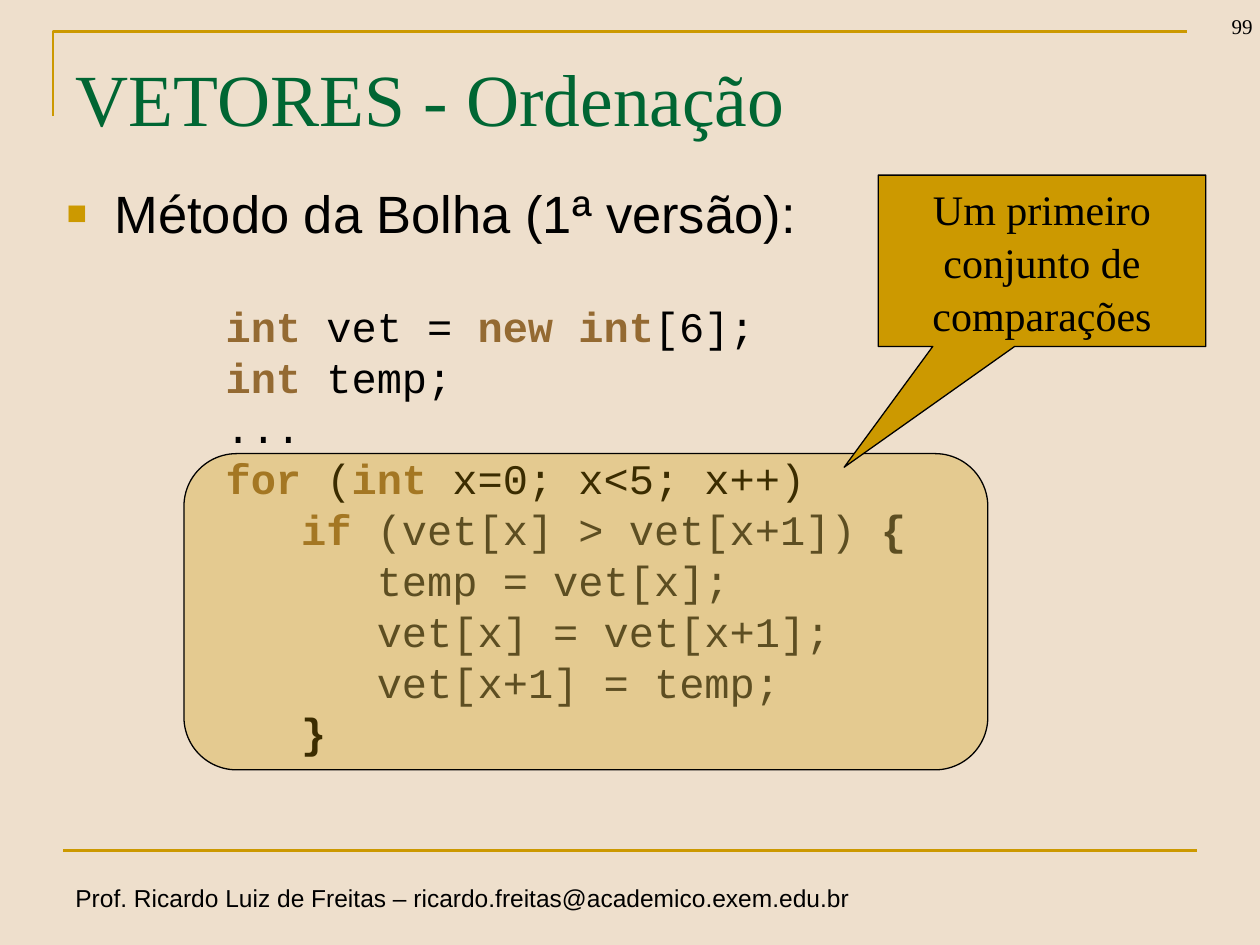
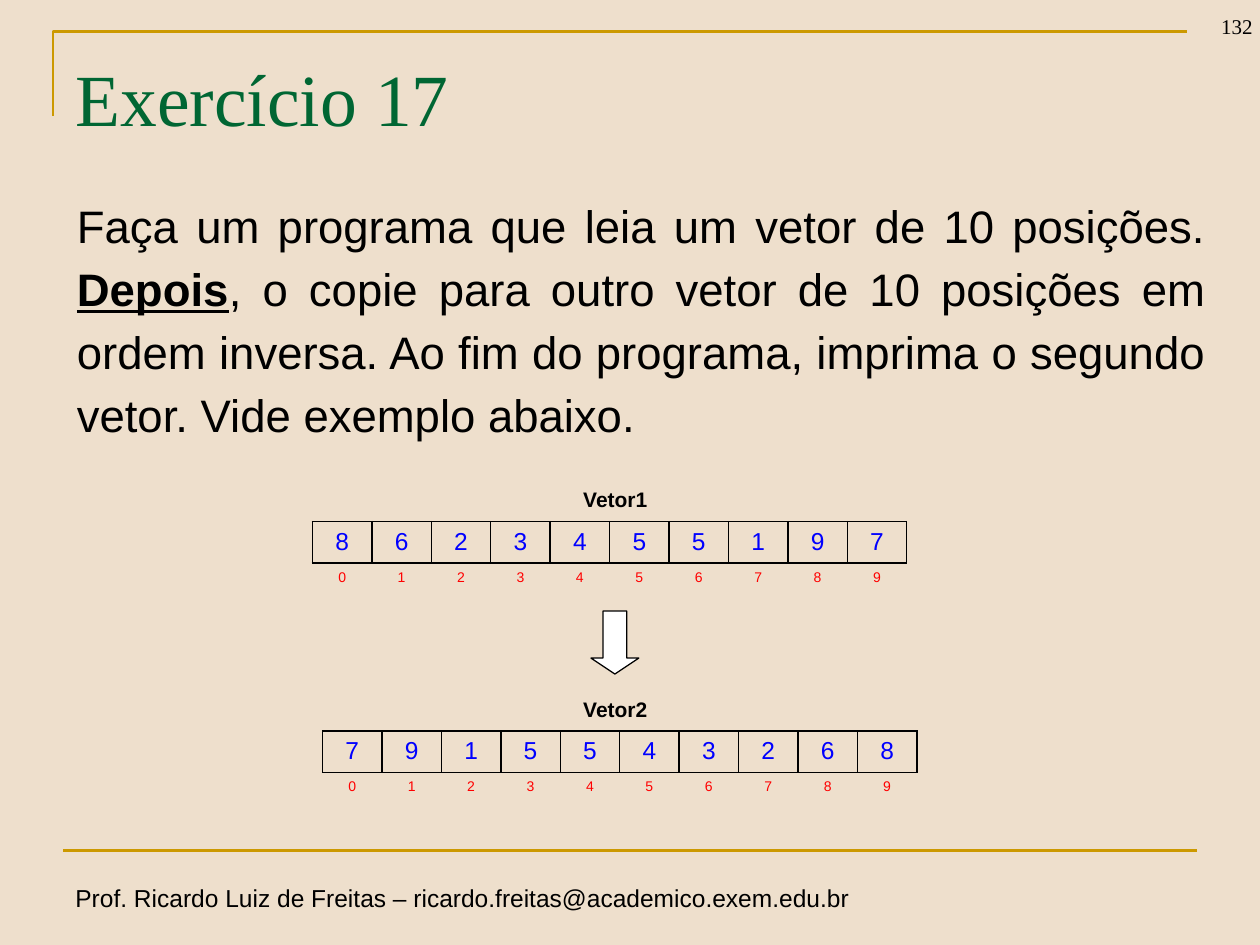
from lxml import etree
from pptx import Presentation
from pptx.dml.color import RGBColor
from pptx.enum.shapes import MSO_CONNECTOR, MSO_SHAPE
from pptx.enum.text import MSO_ANCHOR, MSO_AUTO_SIZE, PP_ALIGN
from pptx.oxml import parse_xml
from pptx.oxml.ns import nsdecls, qn
from pptx.util import Inches, Pt

LINE = MSO_CONNECTOR.STRAIGHT
ROUND = MSO_SHAPE.FLOWCHART_ALTERNATE_PROCESS
CALL = MSO_SHAPE.RECTANGULAR_CALLOUT
DOWN = MSO_SHAPE.DOWN_ARROW
LEFT, MID, RIGHT, JUST = PP_ALIGN.LEFT, PP_ALIGN.CENTER, PP_ALIGN.RIGHT, PP_ALIGN.JUSTIFY
TOP, LOW = MSO_ANCHOR.TOP, MSO_ANCHOR.BOTTOM
FIXED = MSO_AUTO_SIZE.NONE

SANS, SERIF, MONO = "Arial", "Times New Roman", "Courier New"
COLORS = {
    "back": "EEDFCC", "gold": "CC9900", "green": "006633", "black": "000000",
    "brown": "946A32", "gray": "303030", "blue": "0000FF", "red": "FF0000",
    "white": "FFFFFF",
}
RGB = {name: RGBColor.from_string(code) for name, code in COLORS.items()}


def style(para, face, size, color="black", align=LEFT, bold=False):
    para.alignment = align
    font = para.font
    font.name, font.size, font.bold = face, Pt(size), bold
    font.color.rgb = RGB[color]


def place(shape, left, top, width, height, anchor=TOP, wrap=True):
    shape.left, shape.top = Inches(left), Inches(top)
    shape.width, shape.height = Inches(width), Inches(height)
    frame = shape.text_frame
    frame.auto_size, frame.word_wrap = FIXED, wrap
    frame.vertical_anchor = anchor
    return frame.paragraphs[0]


prs = Presentation()
prs.slide_width, prs.slide_height = Inches(10), Inches(7.5)
fill = prs.slide_master.background.fill
fill.solid()
fill.fore_color.rgb = RGB["back"]

# Shared frame, footer, number and title
slides = []
for title, number, width in [("VETORES - Ordenação", "99", 9.28),
                             ("Exercício 17", "132", 9)]:
    slide = prs.slides.add_slide(prs.slide_layouts[1])
    slides.append(slide)
    shapes = slide.shapes

    draft = shapes.build_freeform(Inches(0.42), Inches(0.92))
    draft.add_line_segments([(Inches(0.42), Inches(0.25)),
                             (Inches(9.42), Inches(0.25))], close=False)
    corner = draft.convert_to_shape()
    corner.shadow.inherit = False
    corner.fill.background()
    rule = shapes.add_connector(LINE, Inches(0.5), Inches(6.75), Inches(9.5), Inches(6.75))
    etree.SubElement(rule._element.spPr, qn("a:effectLst"))
    for edge in (corner, rule):
        edge.line.color.rgb = RGB["gold"]
        edge.line.width = Pt(1.5)

    para = place(shapes.add_textbox(0, 0, 0, 0), 0.5, 6.96, 6.38, 0.34, wrap=False)
    para.text = "Prof. Ricardo Luiz de Freitas – ricardo.freitas@academico.exem.edu.br"
    style(para, SANS, 14)
    para = place(shapes.add_textbox(0, 0, 0, 0), 9.29, -0.14, 0.75, 0.5, LOW)
    para.text = number
    style(para, SERIF, 12, align=RIGHT)

    para = place(shapes.title, 0.5, 0.3, width, 1.25)
    shapes.title.text_frame.margin_top = Inches(0.12)
    para.text = title
    style(para, SERIF, 42, "green")

sort, task = slides

# Code: each line has an indent in characters and its runs (text, colour, bold)
key, text = ("brown", True), ("black", False)
dim = ("gray", False)
code = [
    (0, [("int ", *key), ("vet = ", *text), ("new int", *key), ("[6];", *text)]),
    (0, [("int ", *key), ("temp;", *text)]),
    (0, [("...", *text)]),
    (0, [("for", *key), (" (", *text), ("int", *key), (" x=0; x<5; x++)", *text)]),
    (3, [("if", *key), (" (vet[x] > vet[x+1]) ", *dim), ("{", "gray", True)]),
    (6, [("temp = vet[x];", *dim)]),
    (6, [("vet[x] = vet[x+1];", *dim)]),
    (6, [("vet[x+1] = temp;", *dim)]),
    (3, [("}", "black", True)]),
]
body = sort.placeholders[1]
para = place(body, 1.69, 2.41, 7.48, 4.1)
for row, (indent, parts) in enumerate(code):
    if row:
        para = body.text_frame.add_paragraph()
    style(para, MONO, 24)
    para.line_spacing, para.space_before = 0.8, Pt(6)
    props = para._p.get_or_add_pPr()
    props.set("marL", str(Inches(0.2 * indent)))
    props.set("indent", "0")
    etree.SubElement(props, qn("a:buNone"))
    props.append(props.find(qn("a:defRPr")))
    for words, color, bold in parts:
        run = para.add_run()
        run.text = words
        run.font.bold = bold
        run.font.color.rgb = RGB[color]

# Bulleted heading
para = place(sort.shapes.add_textbox(0, 0, 0, 0), 0.43, 1.39, 9.35, 5.28)
para.text = "Método da Bolha (1ª versão):"
style(para, SANS, 30)
para.space_before = Pt(3)
props = para._p.get_or_add_pPr()
props.set("marL", str(Inches(0.38)))
props.set("indent", str(-Inches(0.38)))
for xml in (f'<a:buClr {nsdecls("a")}><a:srgbClr val="{COLORS["gold"]}"/></a:buClr>',
            f'<a:buSzPct {nsdecls("a")} val="65000"/>',
            f'<a:buFont {nsdecls("a")} typeface="{SANS}"/>',
            f'<a:buChar {nsdecls("a")} char="■"/>'):
    props.append(parse_xml(xml))
props.append(props.find(qn("a:defRPr")))

# Highlight, callout and arrow
marks = []
for slide, kind, color, spot in [(sort, ROUND, "gold", (1.46, 3.6, 6.38, 2.51)),
                                 (sort, CALL, "gold", (6.97, 1.39, 2.6, 1.36)),
                                 (task, DOWN, "white", (4.69, 4.85, 0.38, 0.5))]:
    mark = slide.shapes.add_shape(kind, *map(Inches, spot))
    mark.shadow.inherit = False
    mark.fill.solid()
    mark.fill.fore_color.rgb = RGB[color]
    mark.line.color.rgb = RGB["black"]
    mark.line.width = Pt(0.75)
    marks.append(mark)
glow, call, arrow = marks
tint = glow._element.spPr.find(qn("a:solidFill"))[0]
etree.SubElement(tint, qn("a:alpha")).set("val", "29000")
call.adjustments[0], call.adjustments[1] = -0.604, 1.205
arrow.adjustments[0], arrow.adjustments[1] = 0.5, 0.333
para = place(call, 6.97, 1.39, 2.6, 1.36)
para.text = "Um primeiro conjunto de comparações"
style(para, SERIF, 24, align=MID)
para.line_spacing = 1.05

# Exercise text
para = place(task.placeholders[1], 0.51, 1.46, 9.17, 2.32)
style(para, SANS, 26, align=JUST)
para.line_spacing, para.space_before = 1.15, Pt(0)
props = para._p.get_or_add_pPr()
props.set("marL", "0")
props.set("indent", "0")
etree.SubElement(props, qn("a:buNone"))
props.append(props.find(qn("a:defRPr")))
for words, strong in [
        ("Faça um programa que leia um vetor de 10 posições. ", False),
        ("Depois", True),
        (", o copie para outro vetor de 10 posições em ordem inversa. Ao fim do "
         "programa, imprima o segundo vetor. Vide exemplo abaixo.", False)]:
    run = para.add_run()
    run.text = words
    run.font.bold = run.font.underline = strong

# Vectors: values over their indexes, the second in reverse order
values = [8, 6, 2, 3, 4, 5, 5, 1, 9, 7]
for name, cells, head, left, top, high in [
        ("Vetor1", values, 3.81, 2.48, 4.14, (0.33, 0.3)),
        ("Vetor2", values[::-1], 5.48, 2.56, 5.8, (0.33, 0.28))]:
    para = place(task.shapes.add_textbox(0, 0, 0, 0), 4.53, head, 0.72, 0.3, wrap=False)
    para.text = name
    style(para, SANS, 12, bold=True)

    grid = task.shapes.add_table(2, len(cells), Inches(left), Inches(top),
                                 Inches(4.72), Inches(sum(high))).table
    grid.first_row = grid.horz_banding = False
    grid._tbl.tblPr.find(qn("a:tableStyleId")).text = "{2D5ABB26-0587-4C30-8999-92F81FD0307C}"
    for row, (items, size, color, sides) in enumerate([
            (cells, 14, "blue", "LRTB"), (range(len(cells)), 8, "red", "T")]):
        grid.rows[row].height = Inches(high[row])
        for col, item in enumerate(items):
            cell = grid.cell(row, col)
            para = cell.text_frame.paragraphs[0]
            para.text = str(item)
            style(para, SANS, size, color, MID)
            props = cell._tc.get_or_add_tcPr()
            for side in sides:
                props.append(parse_xml(
                    f'<a:ln{side} {nsdecls("a")} w="{Pt(1)}"><a:solidFill>'
                    f'<a:srgbClr val="{COLORS["black"]}"/></a:solidFill></a:ln{side}>'))
            cell.fill.background()

prs.save("out.pptx")
